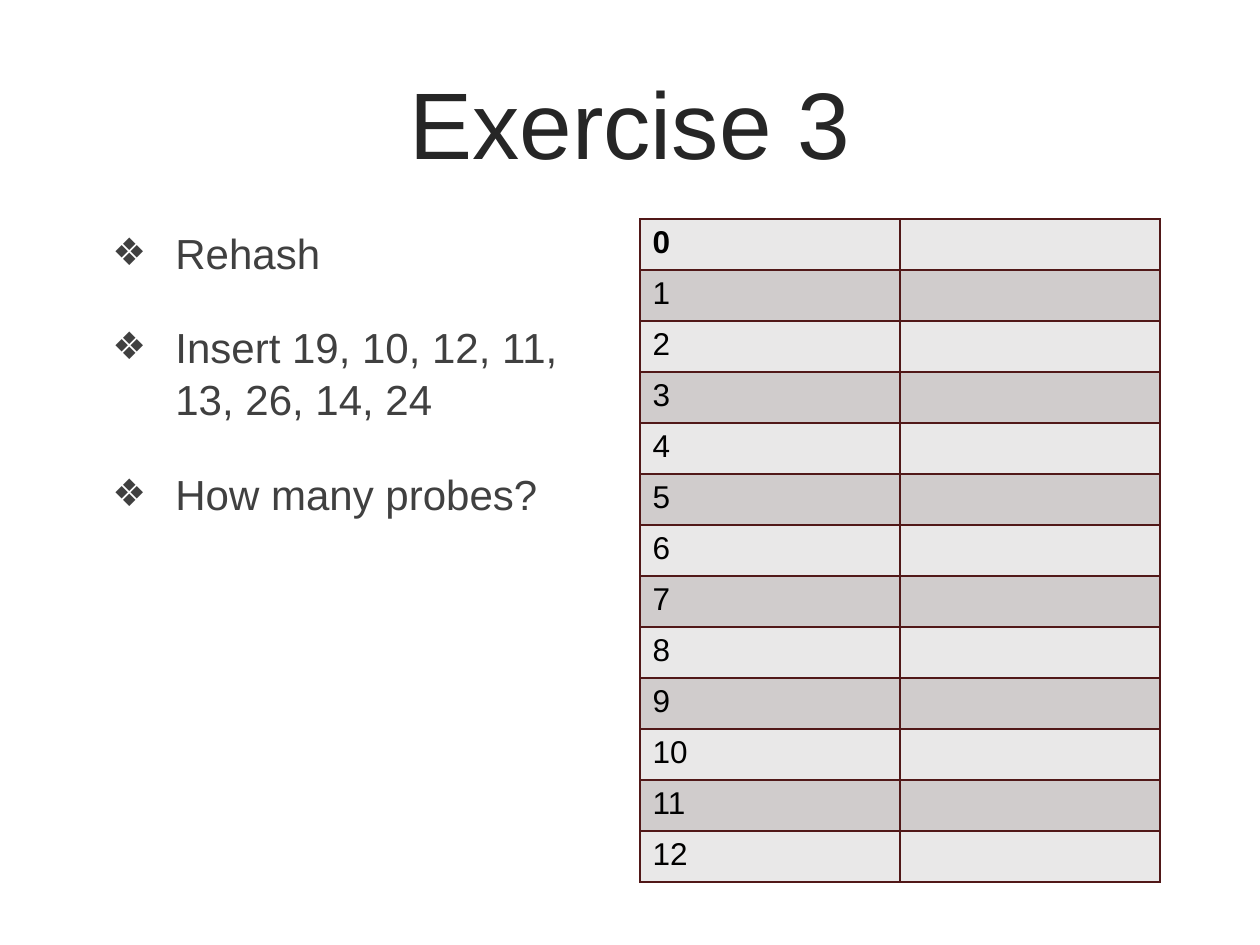
"""Build the hashing exercise slide with its prompts and an empty hash table."""
from dataclasses import dataclass

from lxml.etree import SubElement
from pptx import Presentation
from pptx.dml.color import RGBColor
from pptx.enum.text import MSO_ANCHOR as Anchor, PP_ALIGN as Align
from pptx.oxml.ns import qn
from pptx.util import Pt

HEADING = "Exercise 3"
PROMPTS = ["Rehash", "Insert 19, 10, 12, 11, 13, 26, 14, 24", "How many probes?"]
SLOTS = [str(slot) for slot in range(13)]

PX = 914400 / 126
HEADING_BOX = (100, 43, 1060, 158)
PROMPTS_BOX = (100, 219, 521, 631)
TABLE_LEFT, TABLE_TOP = 640, 219
COLUMN_WIDTHS = (260, 260)
ROW_HEIGHT = 51
INDENT = 63


@dataclass(frozen=True)
class Theme:
    font: str = "Arial"
    heading: str = "262626"
    prompt: str = "404040"
    slot: str = "000000"
    bands: tuple = ("E9E8E8", "D0CCCC")
    border: str = "511818"
    heading_size: int = 54
    prompt_size: int = 24
    slot_size: int = 18
    border_width: int = 1


THEME = Theme()


def emu(px):
    return round(px * PX)


def add_run(paragraph, text, size, color, bold=False):
    run = paragraph.add_run()
    run.text = text
    run.font.name = THEME.font
    run.font.size = Pt(size)
    run.font.bold = bold
    run.font.color.rgb = RGBColor.from_string(color)


def add_bullet(paragraph):
    properties = paragraph._p.get_or_add_pPr()
    properties.set("marL", str(emu(INDENT)))
    properties.set("indent", str(-emu(INDENT)))
    SubElement(properties, qn("a:buSzPct"), val="90000")
    SubElement(properties, qn("a:buFont"), typeface=THEME.font)
    SubElement(properties, qn("a:buChar"), char="❖")


def add_borders(cell):
    properties = cell._tc.get_or_add_tcPr()
    for position, side in enumerate(("a:lnL", "a:lnR", "a:lnT", "a:lnB")):
        border = SubElement(properties, qn(side), w=str(Pt(THEME.border_width)))
        fill = SubElement(border, qn("a:solidFill"))
        SubElement(fill, qn("a:srgbClr"), val=THEME.border)
        properties.insert(position, border)


def add_heading(slide):
    title = slide.shapes.title
    title.left, title.top, title.width, title.height = map(emu, HEADING_BOX)
    title.text_frame.vertical_anchor = Anchor.MIDDLE
    paragraph = title.text_frame.paragraphs[0]
    paragraph.alignment = Align.CENTER
    add_run(paragraph, HEADING, THEME.heading_size, THEME.heading)


def add_prompts(slide):
    frame = slide.shapes.add_textbox(*map(emu, PROMPTS_BOX)).text_frame
    frame.word_wrap = True
    for index, prompt in enumerate(PROMPTS):
        paragraph = frame.add_paragraph() if index else frame.paragraphs[0]
        paragraph.line_spacing = 1.04
        paragraph.space_before = Pt(24 if index else 0)
        add_bullet(paragraph)
        add_run(paragraph, prompt, THEME.prompt_size, THEME.prompt)


def add_hash_table(slide):
    size = (sum(COLUMN_WIDTHS), ROW_HEIGHT * len(SLOTS))
    box = map(emu, (TABLE_LEFT, TABLE_TOP, *size))
    table = slide.shapes.add_table(len(SLOTS), len(COLUMN_WIDTHS), *box).table
    table.first_row = table.horz_banding = False
    for column, width in zip(table.columns, COLUMN_WIDTHS):
        column.width = emu(width)
    for index, (row, slot) in enumerate(zip(table.rows, SLOTS)):
        row.height = emu(ROW_HEIGHT)
        for cell in row.cells:
            cell.fill.solid()
            cell.fill.fore_color.rgb = RGBColor.from_string(THEME.bands[index % 2])
            add_borders(cell)
        paragraph = row.cells[0].text_frame.paragraphs[0]
        add_run(paragraph, slot, THEME.slot_size, THEME.slot, bold=index == 0)


def main():
    deck = Presentation()
    deck.slide_width, deck.slide_height = emu(1260), emu(945)
    slide = deck.slides.add_slide(deck.slide_layouts.get_by_name("Title Only"))
    add_heading(slide)
    add_prompts(slide)
    add_hash_table(slide)
    deck.save("out.pptx")


if __name__ == "__main__":
    main()
